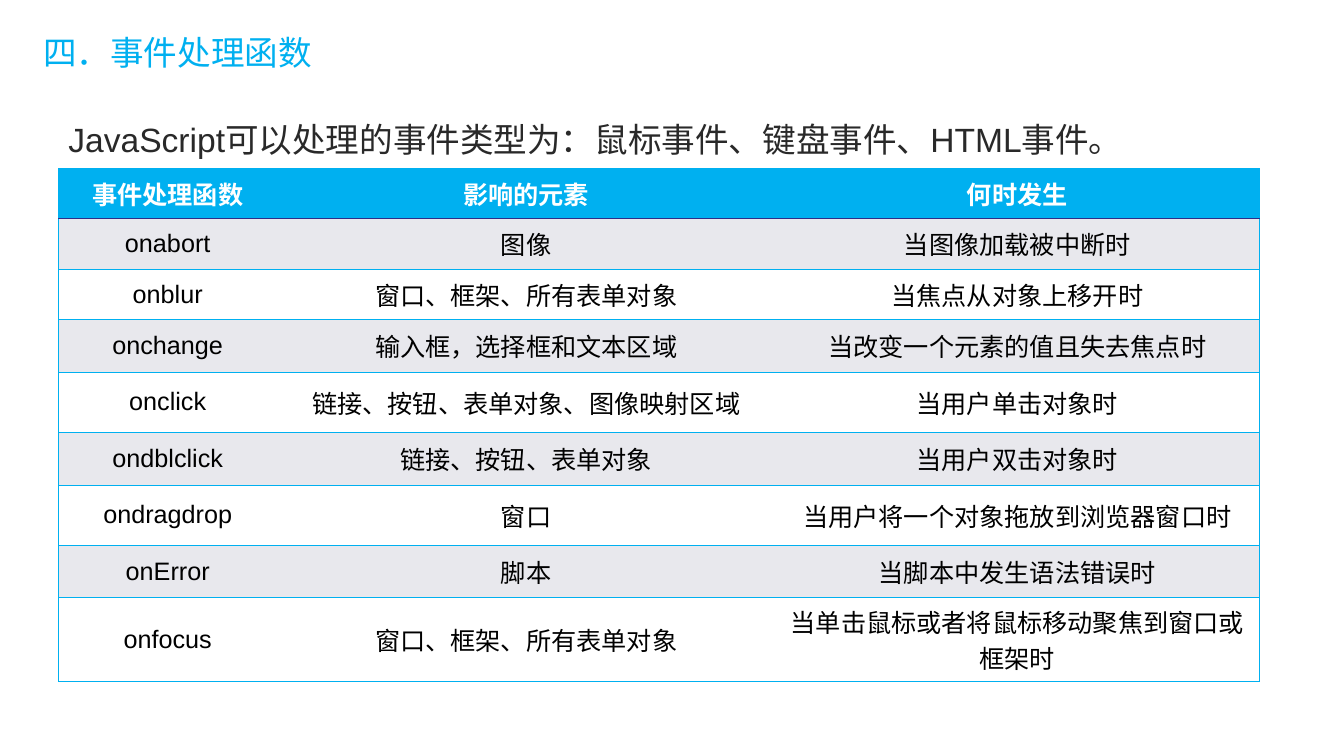
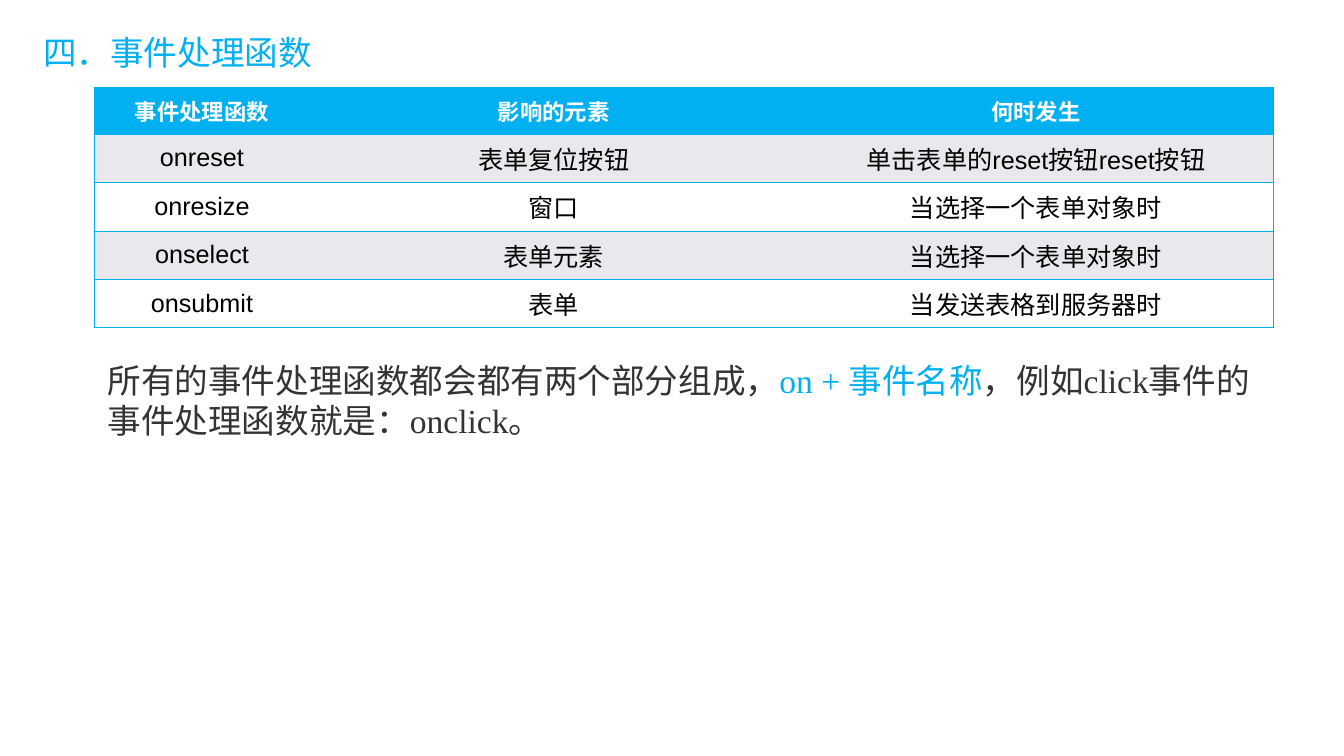
from lxml import etree
from pptx import Presentation
from pptx.dml.color import RGBColor
from pptx.enum.text import MSO_ANCHOR, MSO_AUTO_SIZE, PP_ALIGN
from pptx.oxml.ns import qn
from pptx.util import Inches, Pt

MIDDLE = MSO_ANCHOR.MIDDLE
TOP = MSO_ANCHOR.TOP
CENTER = PP_ALIGN.CENTER
GROW = MSO_AUTO_SIZE.SHAPE_TO_FIT_TEXT

ACCENT = RGBColor(0x00, 0xB0, 0xF0)
HEADER_RULE = RGBColor(0x2D, 0x2D, 0x89)
STRIPE = RGBColor(0xE8, 0xE8, 0xED)
WHITE = RGBColor(0xFF, 0xFF, 0xFF)
BLACK = RGBColor(0x00, 0x00, 0x00)
LEAD_INK = RGBColor(0x29, 0x29, 0x29)
NOTE_INK = RGBColor(0x33, 0x33, 0x33)

SANS = "Arial"
SERIF = "Times New Roman"
CJK = "Noto Sans CJK SC"

SLIDE_W, SLIDE_H = 13.34, 7.5
BODY_SIZE = 24
CELL_SIZE = 18
BORDER = Pt(0.45)
COLUMN_SHARES = (0.182, 0.415, 0.403)

TITLE = "四．事件处理函数"
HEADINGS = ("事件处理函数", "影响的元素", "何时发生")
LEAD = "JavaScript可以处理的事件类型为：鼠标事件、键盘事件、HTML事件。"
COMMON_EVENTS = (
    ("onabort", "图像", "当图像加载被中断时"),
    ("onblur", "窗口、框架、所有表单对象", "当焦点从对象上移开时"),
    ("onchange", "输入框，选择框和文本区域", "当改变一个元素的值且失去焦点时"),
    ("onclick", "链接、按钮、表单对象、图像映射区域", "当用户单击对象时"),
    ("ondblclick", "链接、按钮、表单对象", "当用户双击对象时"),
    ("ondragdrop", "窗口", "当用户将一个对象拖放到浏览器窗口时"),
    ("onError", "脚本", "当脚本中发生语法错误时"),
    ("onfocus", "窗口、框架、所有表单对象", "当单击鼠标或者将鼠标移动聚焦到窗口或框架时"),
)
FORM_EVENTS = (
    ("onreset", "表单复位按钮", "单击表单的reset按钮reset按钮"),
    ("onresize", "窗口", "当选择一个表单对象时"),
    ("onselect", "表单元素", "当选择一个表单对象时"),
    ("onsubmit", "表单", "当发送表格到服务器时"),
)
NAMING_RULE = (
    ("所有的事件处理函数都会都有两个部分组成，", CJK, NOTE_INK),
    ("on + ", SERIF, ACCENT),
    ("事件名称", CJK, ACCENT),
    ("，例如", CJK, NOTE_INK),
    ("click", SERIF, NOTE_INK),
    ("事件的事件处理函数就是：", CJK, NOTE_INK),
    ("onclick", SERIF, NOTE_INK),
    ("。", CJK, NOTE_INK),
)


def style_run(run, font, size, color, bold=False):
    run.font.name = font
    run.font.size = Pt(size)
    run.font.bold = bold
    run.font.color.rgb = color
    east_asian = etree.Element(qn("a:ea"), typeface=CJK)
    run.font._element.find(qn("a:latin")).addnext(east_asian)


def add_text(slide, box, pieces, anchor=TOP):
    frame = slide.shapes.add_textbox(*map(Inches, box)).text_frame
    frame.word_wrap = True
    frame.vertical_anchor = anchor
    paragraph = frame.paragraphs[0]
    for text, font, color in pieces:
        run = paragraph.add_run()
        run.text = text
        style_run(run, font, BODY_SIZE, color)
    return frame


def add_border(cell, side, color):
    line = etree.SubElement(cell._tc.get_or_add_tcPr(), qn(f"a:ln{side}"), w=str(int(BORDER)))
    if color is None:
        etree.SubElement(line, qn("a:noFill"))
    else:
        fill = etree.SubElement(line, qn("a:solidFill"))
        etree.SubElement(fill, qn("a:srgbClr"), val=str(color))


def fill_cell(cell, text, size, ink, background, borders):
    for side, color in borders.items():
        add_border(cell, side, color)
    cell.fill.solid()
    cell.fill.fore_color.rgb = background
    cell.vertical_anchor = MIDDLE
    paragraph = cell.text_frame.paragraphs[0]
    paragraph.text = text
    paragraph.alignment = CENTER
    style_run(paragraph.runs[0], SANS, size, ink, bold=background == ACCENT)


def add_event_table(slide, left, top, width, heights, events, heading_size, heading_rule):
    rows = (HEADINGS, *events)
    last_column = len(HEADINGS) - 1
    table = slide.shapes.add_table(
        len(rows), len(HEADINGS),
        *map(Inches, (left, top, width, sum(heights))),
    ).table
    table.first_row = table.horz_banding = False
    for column, share in zip(table.columns, COLUMN_SHARES):
        column.width = Inches(width * share)
    for r, (texts, height) in enumerate(zip(rows, heights)):
        table.rows[r].height = Inches(height)
        if r == 0:
            size, ink, background = heading_size, WHITE, ACCENT
        else:
            size, ink, background = CELL_SIZE, BLACK, STRIPE if r % 2 else WHITE
        for c, text in enumerate(texts):
            borders = {
                "L": ACCENT if c == 0 else None,
                "R": ACCENT if c == last_column else None,
                "T": heading_rule if r == 1 else ACCENT,
                "B": heading_rule if r == 0 else ACCENT,
            }
            fill_cell(table.cell(r, c), text, size, ink, background, borders)


def add_titled_slide(deck):
    slide = deck.slides.add_slide(deck.slide_layouts[6])
    add_text(slide, (0.33, 0.17, 12.78, 0.7), [(TITLE, SANS, ACCENT)], MIDDLE)
    return slide


def build_common_events(deck):
    slide = add_titled_slide(deck)
    lead = add_text(slide, (0.58, 1.09, 11.56, 0.58), [(LEAD, SANS, LEAD_INK)])
    lead.paragraphs[0].line_spacing = 1.1
    two_line_row = 0.83
    heights = (0.5,) * 3 + (0.52, 0.6) * 2 + (0.52, two_line_row)
    add_event_table(slide, 0.58, 1.67, 11.92, heights, COMMON_EVENTS, 18, HEADER_RULE)


def build_form_events(deck):
    slide = add_titled_slide(deck)
    heights = (0.46,) + (0.48,) * len(FORM_EVENTS)
    add_event_table(slide, 0.94, 0.87, 11.7, heights, FORM_EVENTS, 16, ACCENT)
    rule = add_text(slide, (0.97, 3.52, 11.72, 0.9), NAMING_RULE)
    rule.auto_size = GROW


def main():
    deck = Presentation()
    deck.slide_width = Inches(SLIDE_W)
    deck.slide_height = Inches(SLIDE_H)
    build_common_events(deck)
    build_form_events(deck)
    deck.save("out.pptx")


if __name__ == "__main__":
    main()
